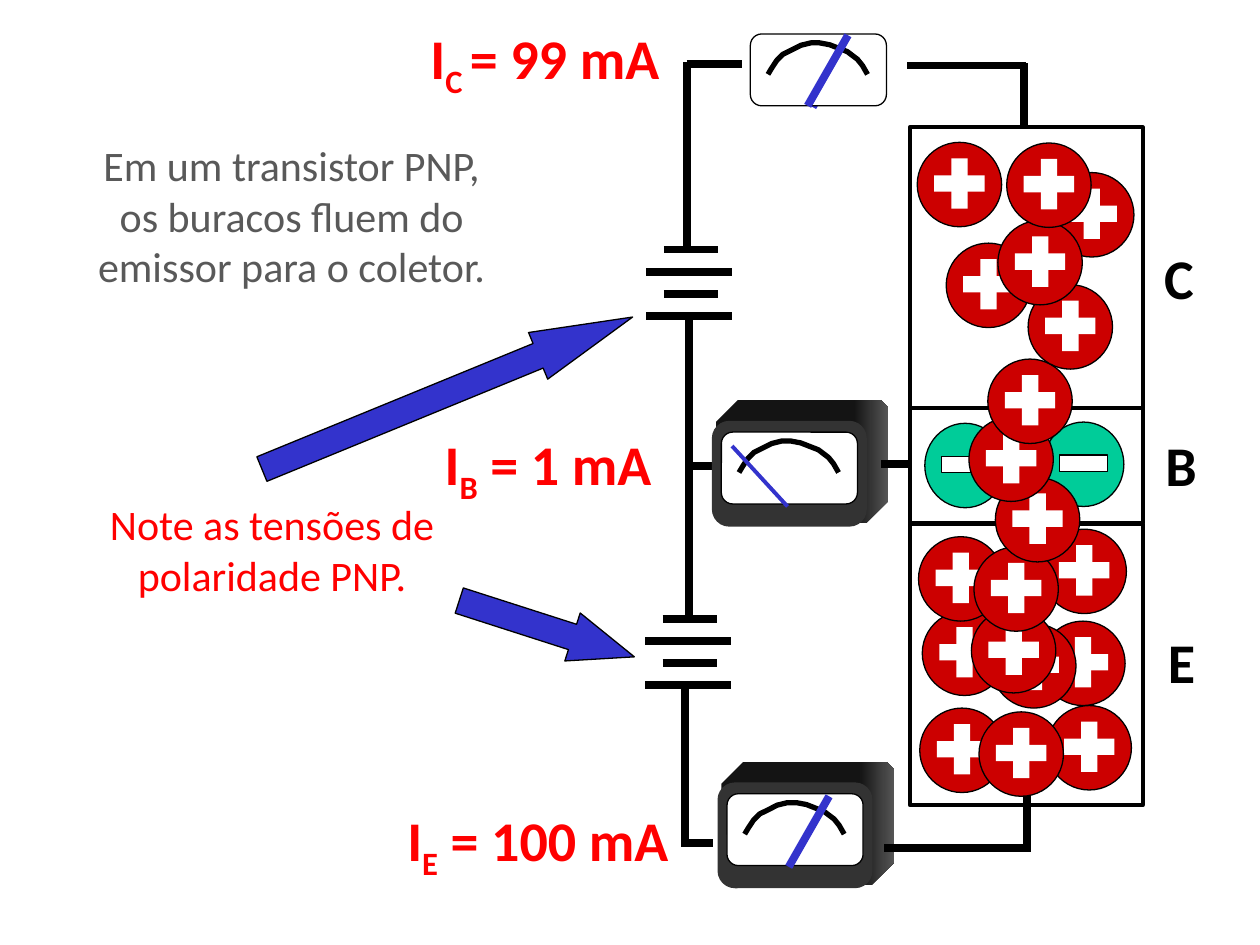
from lxml import etree
from pptx import Presentation
from pptx.dml.color import RGBColor
from pptx.enum.shapes import MSO_CONNECTOR, MSO_SHAPE
from pptx.enum.text import MSO_AUTO_SIZE, PP_ALIGN
from pptx.oxml.ns import qn
from pptx.util import Inches, Pt

STRAIGHT = MSO_CONNECTOR.STRAIGHT
RECT, ROUNDED = MSO_SHAPE.RECTANGLE, MSO_SHAPE.ROUNDED_RECTANGLE
OVAL, ARROW = MSO_SHAPE.OVAL, MSO_SHAPE.RIGHT_ARROW
BEVELLED = MSO_SHAPE.SNIP_2_DIAG_RECTANGLE
LEFT, CENTER = PP_ALIGN.LEFT, PP_ALIGN.CENTER
FIT_SHAPE = MSO_AUTO_SIZE.SHAPE_TO_FIT_TEXT

BLACK, WHITE, BLUE = "000000", "FFFFFF", "3333CC"
RED, HOLE_RED, ELECTRON_GREEN, GRAY = "FF0000", "CC0000", "00CC99", "595959"
CASING_FRONT, CASING_SHADE, CASING_EDGE = "333333", "141414", "555555"

COLUMNS, ROWS = 100, 75

DIAL = [(0, 2.5), (0.3, 2), (0.7, 1.4), (1.2, 0.9), (1.8, 0.6), (2.6, 0.2),
        (3.4, 0), (4.1, 0), (4.9, 0.15), (6.3, 0.7), (7.1, 1.3), (7.5, 1.8),
        (7.9, 2.5)]

COLLECTOR_BASE_EMITTER = [("C", 10.1, 22.3, 91.4, 18.8),
                          ("B", 32.4, 9.1, 91.5, 33.7),
                          ("E", 41.6, 22.3, 91.7, 49.3)]
WIRES = [(81.5, 62.3, 81.5, 67.3), (81.3, 5, 81.3, 10),
         (54.7, 48.8, 54.7, 33.4), (54.4, 67.2, 54.4, 54.7),
         (54.4, 66.9, 56.6, 66.9), (54.5, 20, 54.5, 4.9),
         (54.7, 37.8, 54.7, 25.3), (54.5, 5.1, 58.9, 5.1),
         (81.4, 5.2, 72, 5.2), (56.6, 37, 54.4, 37)]
METER_LEADS = [(81.8, 67.3, 70.2, 67.3), (72.2, 36.8, 69.9, 36.8)]
ELECTRONS = [(82.8, 33.5), (73.4, 33.6)]
HOLES = [(82.7, 42), (73, 56.2), (82.6, 49.3), (78.7, 49.5), (73.2, 48.5),
         (83.1, 56), (72.9, 42.6), (72.8, 11.3), (75.1, 19.3), (83.3, 13.7),
         (77.7, 56.5), (77.1, 48.3), (77.3, 43.4), (79, 37.9), (76.9, 33.1),
         (78.4, 28.5), (81.6, 22.6), (79.2, 17.5), (79.9, 11.35)]
CURRENTS = [("C ", "= 99 mA", 32.9, 1.4, 20.7),
            ("B", " = 1 mA", 34.1, 33.6, 18.8),
            ("E", " = 100 mA", 31.1, 63.4, 23.2)]


def rgb(value):
    return RGBColor.from_string(value)


def write_run(paragraph, text, size=24, color=BLACK, bold=False, subscript=False,
              font="Calibri"):
    run = paragraph.add_run()
    run.text = text
    run.font.name, run.font.size, run.font.bold = font, Pt(size), bold
    run.font.color.rgb = rgb(color)
    if subscript:
        run._r.get_or_add_rPr().set("baseline", "-25000")


class Diagram:
    def __init__(self, deck):
        self.column = deck.slide_width / COLUMNS
        self.row = deck.slide_height / ROWS
        self.slide = deck.slides.add_slide(deck.slide_layouts[6])

    def place(self, x, y):
        return round(x * self.column), round(y * self.row)

    def paint(self, shape, fill, line, weight):
        shape.shadow.inherit = False
        if fill:
            shape.fill.solid()
            shape.fill.fore_color.rgb = rgb(fill)
        else:
            shape.fill.background()
        if line:
            shape.line.color.rgb = rgb(line)
            shape.line.width = Pt(weight)
        else:
            shape.line.fill.background()

    def shape(self, kind, x, y, width, height, fill=None, line=None, weight=0.75,
              rotation=0, adjust=(), group=None):
        owner = group or self.slide
        shape = owner.shapes.add_shape(kind, *self.place(x, y),
                                       *self.place(width, height))
        for index, value in enumerate(adjust):
            shape.adjustments[index] = value
        shape.rotation = rotation
        self.paint(shape, fill, line, weight)
        return shape

    def line(self, x1, y1, x2, y2, color=BLACK, weight=4.5):
        line = self.slide.shapes.add_connector(STRAIGHT, *self.place(x1, y1),
                                               *self.place(x2, y2))
        line.line.color.rgb = rgb(color)
        line.line.width = Pt(weight)
        etree.SubElement(line._element.spPr, qn("a:effectLst"))

    def curve(self, points, x, y, color=BLACK, weight=3):
        places = [self.place(x + dx, y + dy) for dx, dy in points]
        builder = self.slide.shapes.build_freeform(*places[0])
        builder.add_line_segments(places[1:], close=False)
        self.paint(builder.convert_to_shape(), None, color, weight)

    def text(self, lines, x, y, width, height, align=CENTER):
        frame = self.slide.shapes.add_textbox(*self.place(x, y),
                                              *self.place(width, height)).text_frame
        frame.word_wrap = False
        frame.auto_size = FIT_SHAPE
        for index, runs in enumerate(lines):
            paragraph = frame.add_paragraph() if index else frame.paragraphs[0]
            paragraph.alignment = align
            for text, style in runs:
                write_run(paragraph, text, **style)

    def battery(self, x, y):
        for plate in range(4):
            inset, width = (0, 6.8) if plate % 2 else (1.4, 4.3)
            level = y + plate * 1.76
            self.line(x + inset, level, x + inset + width, level)

    def casing(self, x, y):
        side = self.shape(BEVELLED, x + 0.3, y - 1.65, 13.7, 9.75, CASING_SHADE,
                          adjust=(0.18, 0.06))
        side.fill.gradient()
        side.fill.gradient_angle = 0
        for stop, color, position in zip(side.fill.gradient_stops,
                                         (CASING_SHADE, CASING_EDGE), (0.8, 1)):
            stop.color.rgb = rgb(color)
            stop.position = position
        self.shape(ROUNDED, x, y, 12.3, 8.4, CASING_FRONT, adjust=[0.165])

    def meter(self, x, y, needle, weight=4.5, cased=True):
        if cased:
            self.casing(x - 0.75, y - 0.9)
        self.shape(ROUNDED, x, y, 10.8, 5.7, WHITE, BLACK, adjust=[0.158])
        self.curve(DIAL, x + 1.4, y + 0.7)
        self.line(*needle, color=BLUE, weight=weight)

    def carrier(self, x, y, width, fill, bar_width, bar_line=None, turns=(0,)):
        group = self.slide.shapes.add_group_shape()
        self.shape(OVAL, x, y, width, 6.7, fill, BLACK, group=group)
        for turn in turns:
            self.shape(RECT, x + (width - bar_width) / 2, y + 2.62, bar_width, 1.3,
                       WHITE, bar_line, rotation=turn, group=group)


def main():
    deck = Presentation()
    deck.slide_width, deck.slide_height = Inches(10), Inches(7.5)
    diagram = Diagram(deck)

    for letter, top, height, letter_x, letter_y in COLLECTOR_BASE_EMITTER:
        diagram.shape(RECT, 72.2, top, 18.5, height, line=BLACK, weight=2.25)
        diagram.text([[(letter, dict(size=32, bold=True))]],
                     letter_x, letter_y, 4.4, 6.4, LEFT)

    for wire in WIRES:
        diagram.line(*wire)
    diagram.battery(51.3, 19.8)
    diagram.battery(51.2, 49.1)
    diagram.line(67.7, 2.9, 64.5, 8.5, BLUE)
    diagram.meter(59.55, 2.7, (67.3, 2.8, 64.1, 8.4), cased=False)
    diagram.meter(57.25, 34.3, (58.1, 35.4, 62.5, 40.2), weight=2.25)
    diagram.meter(57.7, 63, (65.8, 63.2, 62.6, 68.8))
    for lead in METER_LEADS:
        diagram.line(*lead)

    for x, y in ELECTRONS:
        diagram.carrier(x, y, 6.4, ELECTRON_GREEN, 3.8, bar_line=BLACK)
    for x, y in HOLES:
        diagram.carrier(x, y, 6.7, HOLE_RED, 4, turns=(0, 90))

    current_style = dict(size=32, color=RED, bold=True)
    for terminal, value, x, y, width in CURRENTS:
        diagram.text([[("I", current_style),
                       (terminal, dict(current_style, subscript=True)),
                       (value, current_style)]], x, y, width, 6.4)

    explanation = ["Em um transistor PNP,", "os buracos fluem do",
                   "emissor para o coletor."]
    polarity_note = ["Note as tensões de", "polaridade PNP."]
    for lines, color, box in [(explanation, GRAY, (6.3, 10.6, 33.7, 13.1)),
                              (polarity_note, RED, (7.6, 39.1, 28, 9.1))]:
        diagram.text([[(line, dict(color=color))] for line in lines], *box)

    diagram.shape(ARROW, 19.6, 29.2, 31.8, 4, BLUE, BLACK, rotation=337.7,
                  adjust=(0.526, 2.026))
    diagram.shape(ARROW, 36.1, 47.9, 14.6, 4, BLUE, BLACK, rotation=17.8,
                  adjust=(0.526, 1.289))
    deck.save("out.pptx")


if __name__ == "__main__":
    main()
